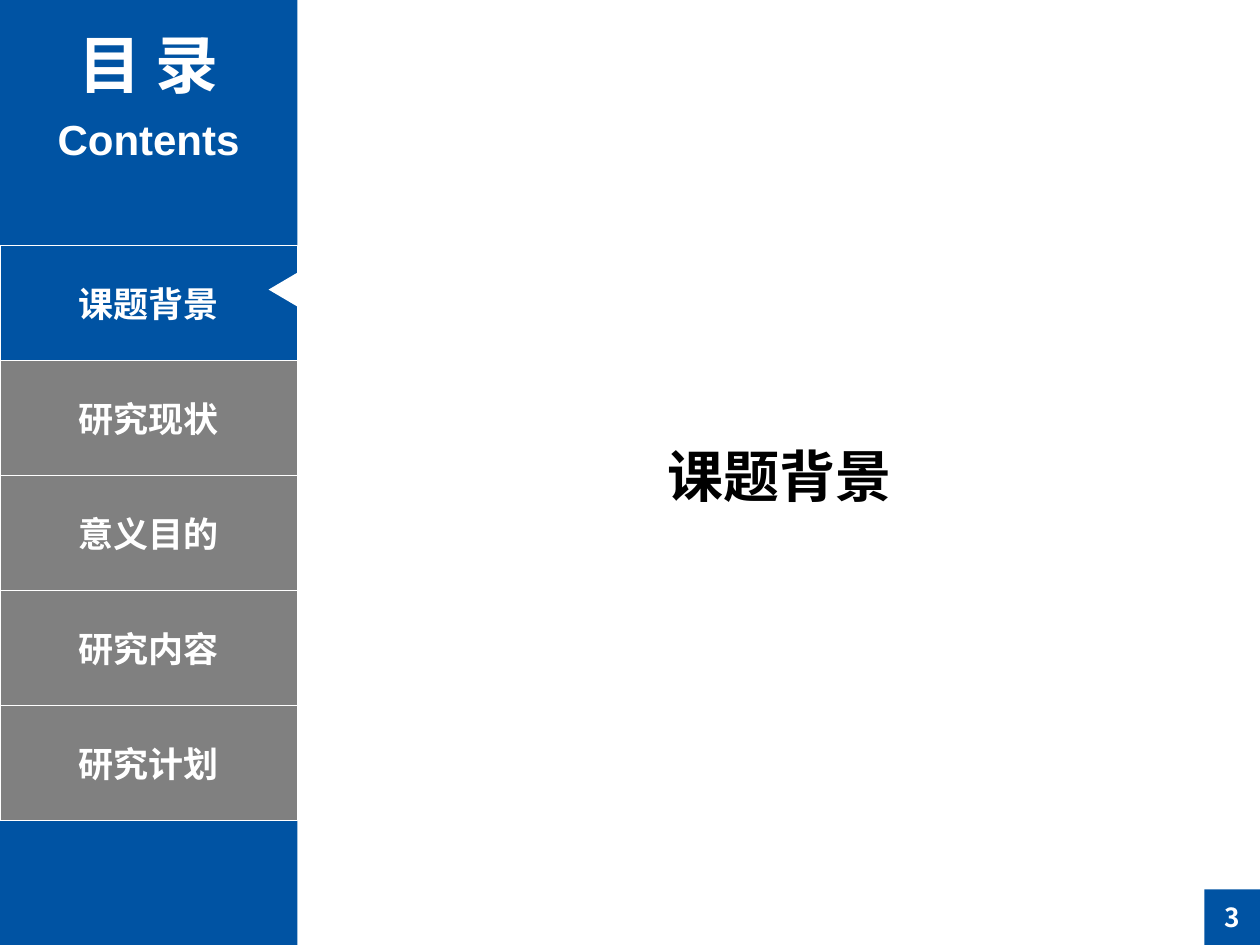
import pptx
import pptx.util
import pptx.dml.color
import pptx.enum.shapes
import pptx.enum.text
import pptx.oxml.ns
import lxml.etree

Pt = pptx.util.Pt
SHAPE = pptx.enum.shapes.MSO_SHAPE

COLORS = {"blue": "0053A3", "gray": "808080", "white": "FFFFFF", "black": "000000"}
CJK_FONT = "Noto Sans CJK SC"
SLIDE_WIDTH, SLIDE_HEIGHT = 720, 540
SIDEBAR_WIDTH = 170
SECTIONS = ["课题背景", "研究现状", "意义目的", "研究内容", "研究计划"]
CURRENT = 0
MENU_TOP, ITEM_HEIGHT = 140.4, 65.7
PAGE_BOX = 31.7


def rgb(name):
    return pptx.dml.color.RGBColor.from_string(COLORS[name])


def write_text(holder, text, size, color="white", font=CJK_FONT):
    """Put one bold, centred line in the middle of a shape or text box."""
    frame = holder.text_frame
    frame.word_wrap = True
    frame.vertical_anchor = pptx.enum.text.MSO_ANCHOR.MIDDLE
    paragraph = frame.paragraphs[0]
    paragraph.alignment = pptx.enum.text.PP_ALIGN.CENTER
    run = paragraph.add_run()
    run.text = text
    run.font.size = Pt(size)
    run.font.bold = True
    run.font.name = font
    run.font.color.rgb = rgb(color)
    east_asian = lxml.etree.SubElement(run.font._element, pptx.oxml.ns.qn("a:ea"))
    east_asian.set("typeface", CJK_FONT)


def add_block(shapes, kind, left, top, width, height, fill, outline=None):
    block = shapes.add_shape(kind, Pt(left), Pt(top), Pt(width), Pt(height))
    block.shadow.inherit = False
    block.fill.solid()
    block.fill.fore_color.rgb = rgb(fill)
    if outline:
        block.line.color.rgb = rgb(outline)
        block.line.width = Pt(0.75)
    else:
        block.line.fill.background()
    return block


def add_label(shapes, left, top, width, height, text, size, **style):
    label = shapes.add_textbox(Pt(left), Pt(top), Pt(width), Pt(height))
    write_text(label, text, size, **style)


def add_menu(shapes):
    for index, section in enumerate(SECTIONS):
        fill = "blue" if index == CURRENT else "gray"
        item = add_block(shapes, SHAPE.RECTANGLE, 0, MENU_TOP + index * ITEM_HEIGHT,
                         SIDEBAR_WIDTH, ITEM_HEIGHT, fill, "white")
        write_text(item, section, 20)
    marker_top = MENU_TOP + CURRENT * ITEM_HEIGHT + 16.6
    marker = add_block(shapes, SHAPE.ISOSCELES_TRIANGLE, 152, marker_top, 20, 17, "white")
    marker.rotation = 270


def add_page_number(shapes, number):
    box = add_block(shapes, SHAPE.RECTANGLE, SLIDE_WIDTH - PAGE_BOX,
                    SLIDE_HEIGHT - PAGE_BOX, PAGE_BOX, PAGE_BOX, "blue")
    write_text(box, number, 15)


def main():
    deck = pptx.Presentation()
    deck.slide_width, deck.slide_height = Pt(SLIDE_WIDTH), Pt(SLIDE_HEIGHT)
    shapes = deck.slides.add_slide(deck.slide_layouts[6]).shapes

    add_block(shapes, SHAPE.RECTANGLE, 0, 0, SIDEBAR_WIDTH, SLIDE_HEIGHT, "blue")
    heading = shapes.add_group_shape().shapes
    add_label(heading, 8.6, 10.8, 152.6, 51, "目 录", 36, font="Arial")
    add_label(heading, 8.6, 61.2, 152.6, 36, "Contents", 24, font="Arial")
    add_menu(shapes)
    add_page_number(shapes, "3")
    add_label(shapes, 311.8, 248.4, 267.8, 46, SECTIONS[CURRENT], 32, color="black")

    deck.save("out.pptx")


if __name__ == "__main__":
    main()
